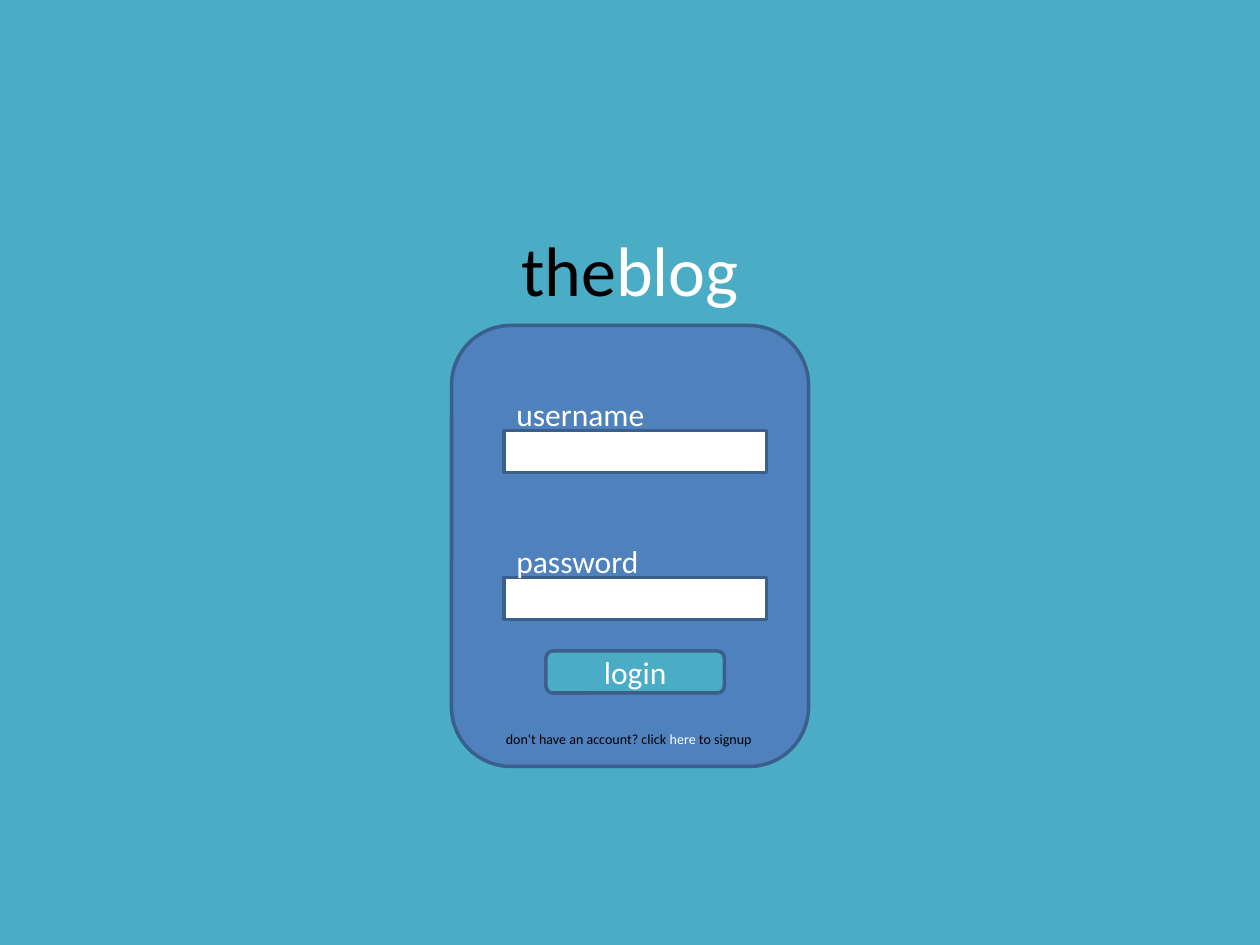
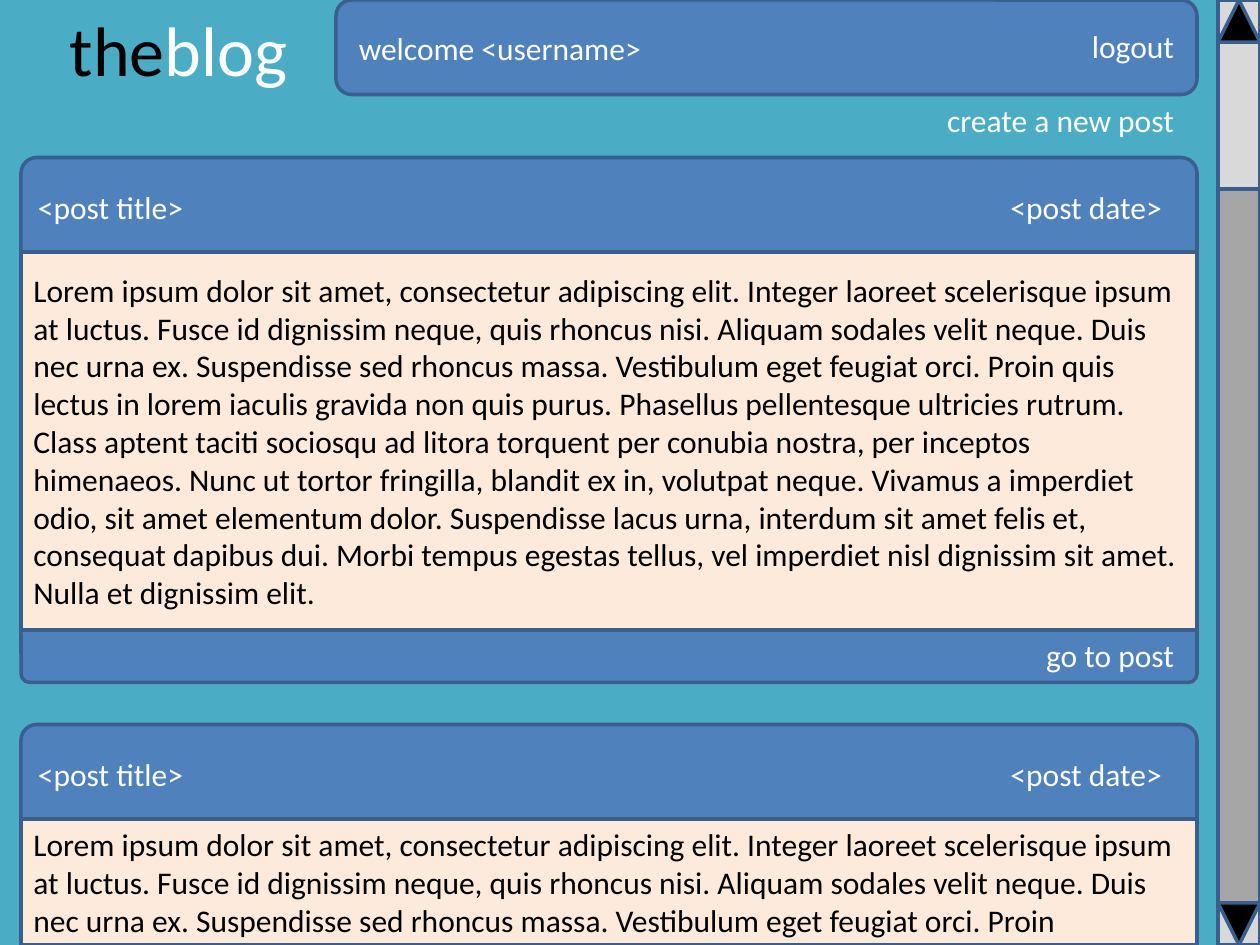
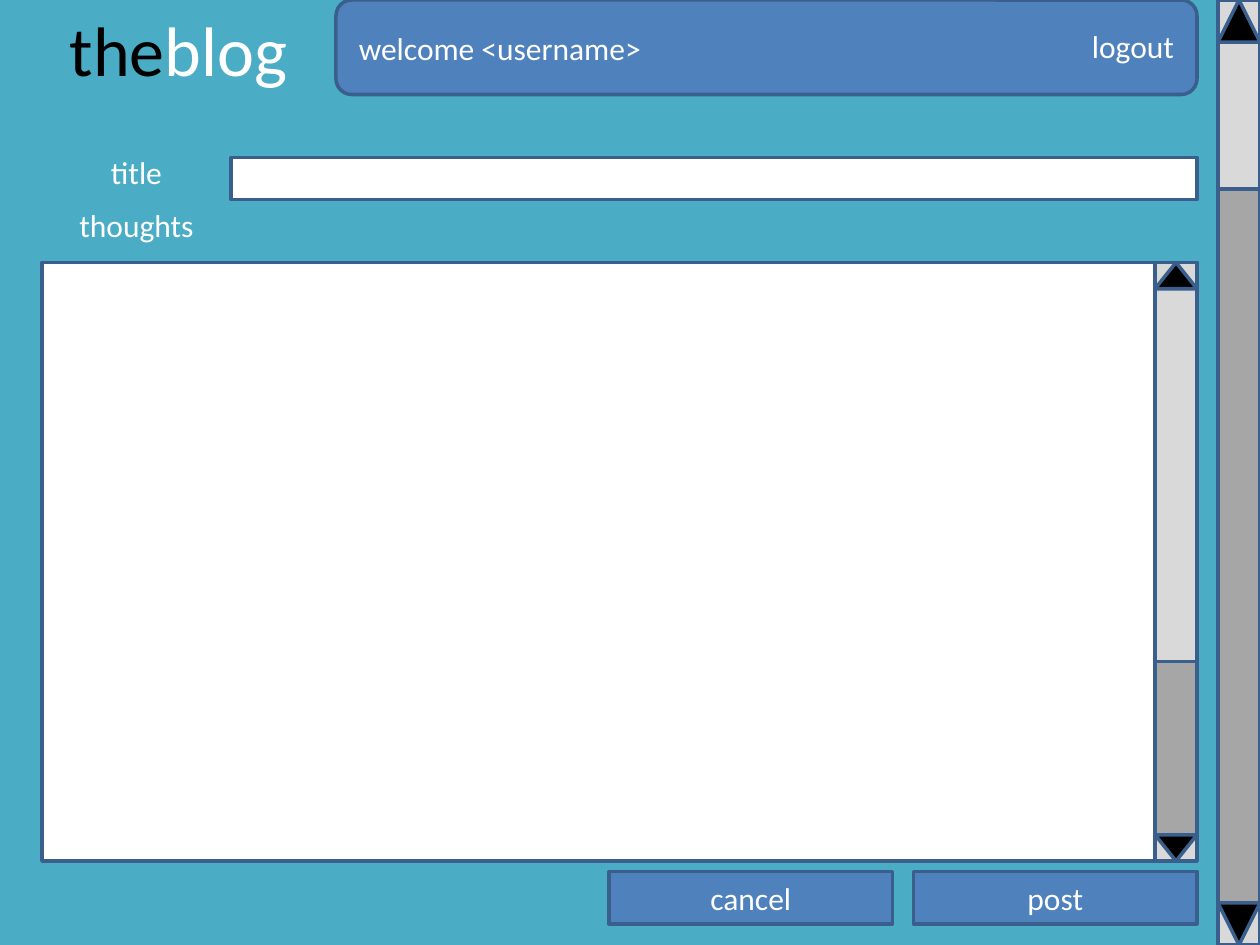
"""Build three wireframe screens of a small blog: login, post list and post editor."""

from dataclasses import dataclass

import lxml.etree
import pptx
import pptx.dml.color
import pptx.enum.shapes
import pptx.enum.text
import pptx.oxml.ns
import pptx.presentation
import pptx.shapes.autoshape
import pptx.slide
import pptx.text.text
import pptx.util

RGBColor = pptx.dml.color.RGBColor
Kind = pptx.enum.shapes.MSO_SHAPE
Align = pptx.enum.text.PP_ALIGN
Anchor = pptx.enum.text.MSO_ANCHOR

TEAL = RGBColor(0x4B, 0xAC, 0xC6)
BLUE = RGBColor(0x4F, 0x81, 0xBD)
OUTLINE = RGBColor(0x3A, 0x5F, 0x8C)
PEACH = RGBColor(0xFD, 0xEA, 0xDA)
TRACK_GRAY = RGBColor(0xA6, 0xA6, 0xA6)
LIGHT_GRAY = RGBColor(0xD9, 0xD9, 0xD9)
WHITE = RGBColor(0xFF, 0xFF, 0xFF)
BLACK = RGBColor(0x00, 0x00, 0x00)

FONT = "Calibri"
WIDTH, HEIGHT = pptx.util.Inches(10), pptx.util.Inches(7.5)
COLUMNS, ROWS = 120, 90
LABEL_ROWS = 4.8
TITLE_ONLY = 5

POST_LEFT, POST_WIDTH = 2, 112
POST_HEAD_ROWS, POST_FOOT_ROWS = 9, 5
DATE_TAB = pptx.util.Inches(8.92)

SHORT_POST = (
    "Lorem ipsum dolor sit amet, consectetur adipiscing elit. Integer laoreet "
    "scelerisque ipsum at luctus. Fusce id dignissim neque, quis rhoncus nisi. "
    "Aliquam sodales velit neque. Duis nec urna ex. Suspendisse sed rhoncus massa. "
    "Vestibulum eget feugiat orci. Proin"
)
LONG_POST = SHORT_POST + (
    " quis lectus in lorem iaculis gravida non quis purus. Phasellus pellentesque "
    "ultricies rutrum. Class aptent taciti sociosqu ad litora torquent per conubia "
    "nostra, per inceptos himenaeos. Nunc ut tortor fringilla, blandit ex in, "
    "volutpat neque. Vivamus a imperdiet odio, sit amet elementum dolor. Suspendisse "
    "lacus urna, interdum sit amet felis et, consequat dapibus dui. Morbi tempus "
    "egestas tellus, vel imperdiet nisl dignissim sit amet. Nulla et dignissim elit."
)


@dataclass(frozen=True)
class Area:
    """A rectangle in grid columns and rows."""

    left: float
    top: float
    width: float
    height: float

    def lengths(self) -> tuple[int, int, int, int]:
        """Return left, top, width and height as slide lengths."""
        return (
            round(self.left * WIDTH / COLUMNS),
            round(self.top * HEIGHT / ROWS),
            round(self.width * WIDTH / COLUMNS),
            round(self.height * HEIGHT / ROWS),
        )


@dataclass(frozen=True)
class Post:
    """A blog post card in the list."""

    top: float
    body_rows: float
    text: str
    has_footer: bool


@dataclass(frozen=True)
class ScrollBar:
    """A scroll bar with its end buttons and thumb."""

    area: Area
    button_rows: float
    thumb_rows: float


POSTS = (Post(15, 36, LONG_POST, True), Post(69, 12, SHORT_POST, False))
PAGE_BAR = ScrollBar(Area(116, 0, 4, ROWS), 4, 14)
EDITOR_BAR = ScrollBar(Area(110, 25, 4, 57), 2.5, 35.5)


def write_text(
    frame: pptx.text.text.TextFrame,
    text: str | tuple[tuple[str, RGBColor], ...],
    *,
    size: float = 18,
    color: RGBColor = WHITE,
    align: Align = Align.LEFT,
    anchor: Anchor = Anchor.TOP,
    wrap: bool = True,
) -> None:
    """Fill a frame with one paragraph of plain or multicoloured text."""
    frame.auto_size = pptx.enum.text.MSO_AUTO_SIZE.NONE
    frame.word_wrap = wrap
    frame.vertical_anchor = anchor
    paragraph = frame.paragraphs[0]
    paragraph.alignment = align
    for words, tint in ((text, color),) if isinstance(text, str) else text:
        run = paragraph.add_run()
        run.text = words
        run.font.name = FONT
        run.font.size = pptx.util.Pt(size)
        run.font.color.rgb = tint


def add_label(slide: pptx.slide.Slide, area: Area, text, **text_format) -> None:
    """Add a text box."""
    box = slide.shapes.add_textbox(*area.lengths())
    write_text(box.text_frame, text, **text_format)


def add_box(
    slide: pptx.slide.Slide,
    area: Area,
    fill: RGBColor,
    kind: Kind = Kind.RECTANGLE,
    *,
    flipped: bool = False,
    text: str = "",
    **text_format,
) -> pptx.shapes.autoshape.Shape:
    """Add an outlined shape, with text centred in its height."""
    shape = slide.shapes.add_shape(kind, *area.lengths())
    shape.shadow.inherit = False
    shape.fill.solid()
    shape.fill.fore_color.rgb = fill
    shape.line.color.rgb = OUTLINE
    shape.line.width = pptx.util.Pt(2)
    shape.rotation = 180 if flipped else 0
    if text:
        write_text(shape.text_frame, text, anchor=Anchor.MIDDLE, **text_format)
    return shape


def add_screen(
    presentation: pptx.presentation.Presentation, left: float, top: float
) -> pptx.slide.Slide:
    """Add a slide with the blog's name as its title."""
    slide = presentation.slides.add_slide(presentation.slide_layouts[TITLE_ONLY])
    title = slide.shapes.title
    title.left, title.top, title.width, title.height = Area(left, top, 34, 9.2).lengths()
    write_text(
        title.text_frame, (("the", BLACK), ("blog", WHITE)), size=40, align=Align.CENTER
    )
    return slide


def add_scroll_bar(slide: pptx.slide.Slide, bar: ScrollBar) -> None:
    """Draw track, thumb and the two arrow buttons."""
    left, width = bar.area.left, bar.area.width
    first = bar.area.top + bar.button_rows
    last = bar.area.top + bar.area.height - bar.button_rows
    add_box(slide, Area(left, first, width, last - first), TRACK_GRAY)
    add_box(slide, Area(left, first, width, bar.thumb_rows), LIGHT_GRAY)
    for top, flipped in ((bar.area.top, False), (last, True)):
        button = Area(left, top, width, bar.button_rows)
        add_box(slide, button, LIGHT_GRAY)
        add_box(slide, button, BLACK, Kind.ISOSCELES_TRIANGLE, flipped=flipped)


def add_member_screen(
    presentation: pptx.presentation.Presentation,
) -> pptx.slide.Slide:
    """Add a slide with the welcome bar and the page's scroll bar."""
    slide = add_screen(presentation, 0, 0)
    add_box(slide, Area(32, 0, 82, 9), BLUE, Kind.ROUNDED_RECTANGLE)
    add_label(slide, Area(33, 2.2, 49, LABEL_ROWS), "welcome <username>")
    add_label(slide, Area(102, 2, 11, LABEL_ROWS), "logout", align=Align.RIGHT)
    add_scroll_bar(slide, PAGE_BAR)
    return slide


def add_right_tab(paragraph, position: int) -> None:
    """Give a paragraph one right-aligned tab stop."""
    qualified = pptx.oxml.ns.qn
    properties = paragraph._p.get_or_add_pPr()
    stops = lxml.etree.SubElement(properties, qualified("a:tabLst"))
    lxml.etree.SubElement(stops, qualified("a:tab"), pos=str(position), algn="r")


def add_post(slide: pptx.slide.Slide, post: Post) -> None:
    """Draw a post card with heading, body and optional footer."""
    body_top = post.top + POST_HEAD_ROWS
    foot_top = body_top + post.body_rows
    rounded = Kind.ROUND_2_SAME_RECTANGLE
    add_box(
        slide,
        Area(POST_LEFT, body_top, POST_WIDTH, post.body_rows),
        PEACH,
        text=post.text,
        color=BLACK,
    )
    heading = add_box(
        slide,
        Area(POST_LEFT, post.top, POST_WIDTH, POST_HEAD_ROWS),
        BLUE,
        rounded,
        text="<post title>\t<post date>",
    )
    add_right_tab(heading.text_frame.paragraphs[0], DATE_TAB)
    if post.has_footer:
        footer = Area(POST_LEFT, foot_top, POST_WIDTH, POST_FOOT_ROWS)
        add_box(slide, footer, BLUE, rounded, flipped=True)
        add_label(
            slide, Area(86, foot_top, 27, LABEL_ROWS), "go to post", align=Align.RIGHT
        )


def build_login(presentation: pptx.presentation.Presentation) -> None:
    """Build the login screen."""
    slide = add_screen(presentation, 43, 21)
    add_box(slide, Area(43, 31, 34, 42), BLUE, Kind.ROUNDED_RECTANGLE)
    for name, label_top, field_top in (("username", 37, 41), ("password", 51, 55)):
        add_box(slide, Area(48, field_top, 25, 4), WHITE)
        add_label(slide, Area(48, label_top, 25, LABEL_ROWS), name)
    add_label(
        slide,
        Area(47, 69, 26.2, 2.9),
        (("don‘t have an account? click ", BLACK), ("here", WHITE), (" to signup", BLACK)),
        size=8,
        wrap=False,
    )
    add_box(
        slide,
        Area(52, 62, 17, 4),
        TEAL,
        Kind.ROUNDED_RECTANGLE,
        text="login",
        align=Align.CENTER,
    )


def build_post_list(presentation: pptx.presentation.Presentation) -> None:
    """Build the list of posts."""
    slide = add_member_screen(presentation)
    for post in POSTS:
        add_post(slide, post)
    add_label(
        slide, Area(86, 9, 27, LABEL_ROWS), "create a new post", align=Align.RIGHT
    )


def build_editor(presentation: pptx.presentation.Presentation) -> None:
    """Build the screen for writing a post."""
    slide = add_member_screen(presentation)
    add_box(slide, Area(22, 15, 92, 4), WHITE)
    add_box(slide, Area(4, 25, 110, 57), WHITE)
    for name, top in (("title", 14), ("thoughts", 19)):
        add_label(slide, Area(4, top, 18, LABEL_ROWS), name, align=Align.CENTER)
    for name, left in (("cancel", 58), ("post", 87)):
        add_box(slide, Area(left, 83, 27, 5), BLUE, text=name, align=Align.CENTER)
    add_scroll_bar(slide, EDITOR_BAR)


def main() -> None:
    """Build and save the presentation."""
    presentation = pptx.Presentation()
    presentation.slide_width, presentation.slide_height = WIDTH, HEIGHT
    background = presentation.slide_master.background.fill
    background.solid()
    background.fore_color.rgb = TEAL
    build_login(presentation)
    build_post_list(presentation)
    build_editor(presentation)
    presentation.save("out.pptx")


if __name__ == "__main__":
    main()
